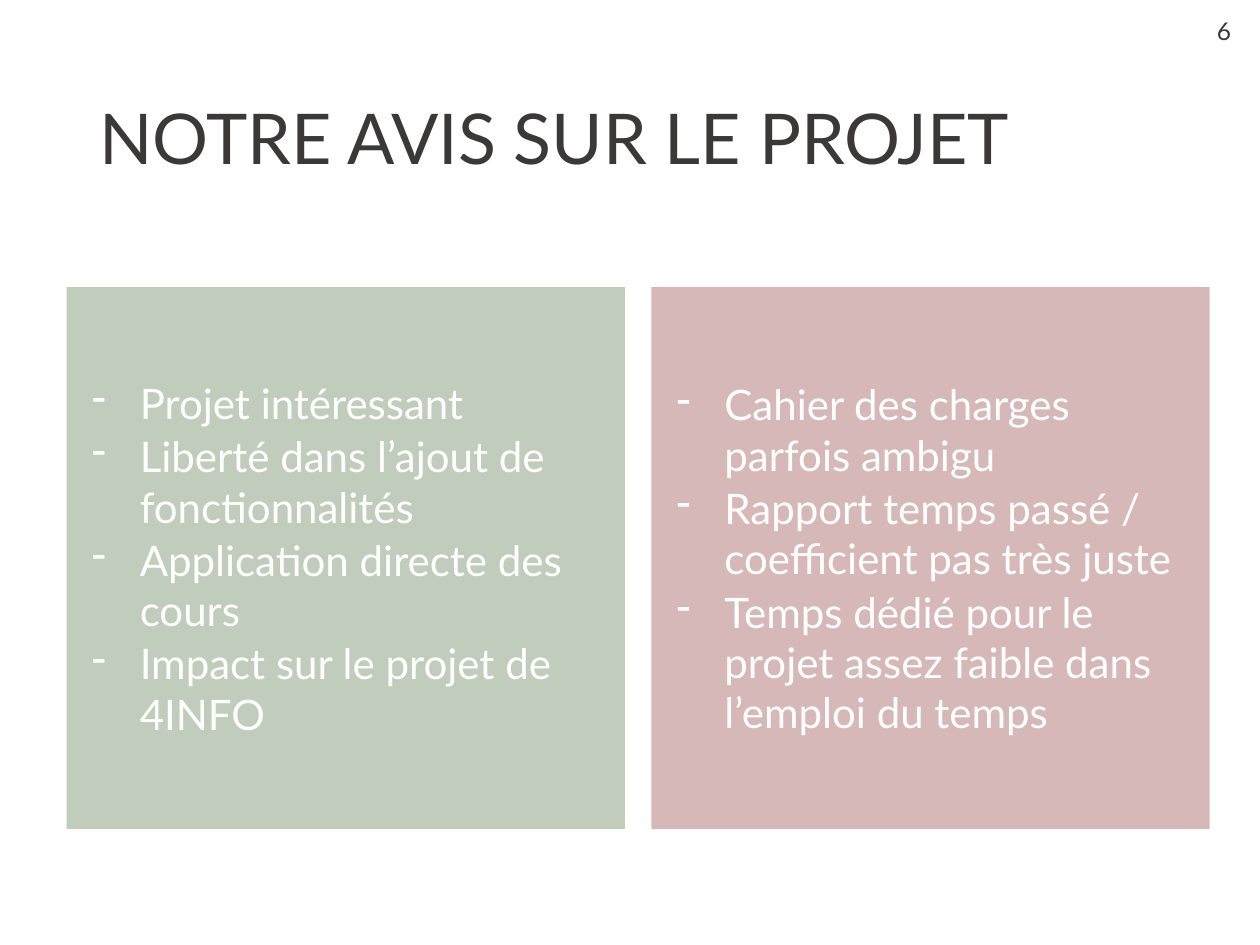
import pptx
import pptx.util
import pptx.dml.color
import pptx.enum.shapes
import pptx.enum.text
import lxml.etree
from pptx.oxml.ns import qn

Inches = pptx.util.Inches
Pt = pptx.util.Pt
Align = pptx.enum.text.PP_ALIGN
Anchor = pptx.enum.text.MSO_ANCHOR
FONT, DARK, WHITE = "Lato", "3B3838", "FFFFFF"


def paint(target, color):
    target.rgb = pptx.dml.color.RGBColor.from_string(color)


def add_run(para, text, size, color):
    run = para.add_run()
    run.text = text
    run.font.name = FONT
    run.font.size = Pt(size)
    paint(run.font.color, color)


def add_label(slide, box, text, size, wrap=True, align=Align.LEFT,
              anchor=Anchor.TOP, line=1.0):
    frame = slide.shapes.add_textbox(*map(Inches, box)).text_frame
    frame.word_wrap = wrap
    frame.vertical_anchor = anchor
    para = frame.paragraphs[0]
    para.alignment = align
    para.line_spacing = line
    add_run(para, text, size, DARK)


def add_dash(para, indent):
    props = para._p.get_or_add_pPr()
    props.set("marL", str(Inches(indent)))
    props.set("indent", str(-Inches(indent)))
    lxml.etree.SubElement(props, qn("a:buChar")).set("char", "-")


def add_card(slide, box, color, items):
    card = slide.shapes.add_shape(
        pptx.enum.shapes.MSO_SHAPE.RECTANGLE, *map(Inches, box))
    card.shadow.inherit = False
    card.line.fill.background()

    # Translucent fill
    card.fill.solid()
    paint(card.fill.fore_color, color)
    tint = card.fill._xPr.find(qn("a:solidFill"))[0]
    lxml.etree.SubElement(tint, qn("a:alpha")).set("val", "30000")

    # Dashed list
    frame = card.text_frame
    frame.word_wrap = True
    frame.vertical_anchor = Anchor.MIDDLE
    frame.margin_left, frame.margin_right = Inches(0.2), Inches(0.12)
    frame.margin_top = frame.margin_bottom = Inches(0.3)
    for i, item in enumerate(items):
        para = frame.add_paragraph() if i else frame.paragraphs[0]
        para.alignment = Align.LEFT
        para.space_before = para.space_after = Pt(0.8)
        add_dash(para, 0.38)
        add_run(para, item, 24, WHITE)


def add_cards(slide, box, gap, cards):
    left, top, width, height = box
    wide = (width - gap * (len(cards) - 1)) / len(cards)
    for i, (color, items) in enumerate(cards):
        add_card(slide, (left + i * (wide + gap), top, wide, height),
                 color, items)


CARDS = [
    ("385723", ["Projet intéressant",
                "Liberté dans l’ajout de fonctionnalités",
                "Application directe des cours",
                "Impact sur le projet de 4INFO"]),
    ("7B1515", ["Cahier des charges parfois ambigu",
                "Rapport temps passé / coefficient pas très juste",
                "Temps dédié pour le projet assez faible dans "
                "l’emploi du temps"]),
]

deck = pptx.Presentation()
deck.slide_width, deck.slide_height = Inches(10), Inches(7.5)
slide = deck.slides.add_slide(deck.slide_layouts[6])

# Title, cards and page number
add_label(slide, (0.69, 0.4, 8.62, 1.45), "NOTRE AVIS SUR LE PROJET", 40,
          anchor=Anchor.MIDDLE, line=0.9)
add_cards(slide, (0.53, 2.28, 9.07, 4.3), 0.21, CARDS)
add_label(slide, (9.43, 0.08, 0.57, 0.34), "6", 14,
          wrap=False, align=Align.CENTER)

deck.save("out.pptx")
